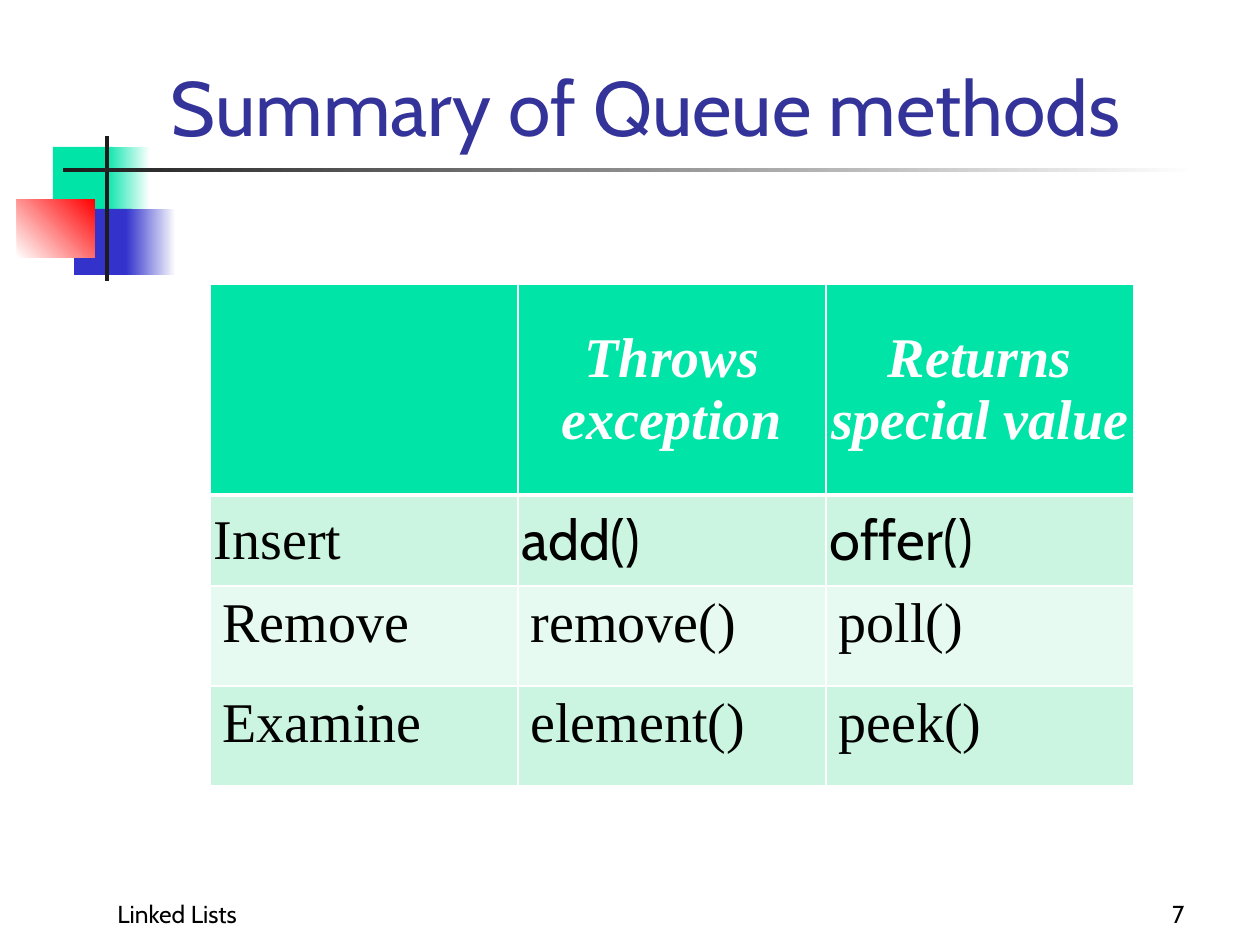
"""Build the slide that sums up the queue methods in a table."""
from lxml import etree
from pptx import Presentation
from pptx.dml.color import RGBColor
from pptx.enum.shapes import MSO_SHAPE
from pptx.enum.text import MSO_ANCHOR, MSO_AUTO_SIZE, PP_ALIGN
from pptx.oxml.ns import qn
from pptx.util import Emu, Pt

RECTANGLE = MSO_SHAPE.RECTANGLE
BOTTOM, MIDDLE, TOP = MSO_ANCHOR.BOTTOM, MSO_ANCHOR.MIDDLE, MSO_ANCHOR.TOP
LEFT, CENTER, RIGHT = PP_ALIGN.LEFT, PP_ALIGN.CENTER, PP_ALIGN.RIGHT
NO_AUTOFIT = MSO_AUTO_SIZE.NONE
EMU_PER_PX = 914400 / 126
SANS, SERIF = "Cabin", "Times New Roman"
COLORS = {
    "green": "00E4A8", "blue": "3333CC", "red": "FF0000", "dark": "1C1C1C",
    "white": "FFFFFF", "black": "000000", "title": "333399",
    "band": "CCF5E1", "light band": "E7FAF1",
}


def px(*lengths):
    return [Emu(round(length * EMU_PER_PX)) for length in lengths]


def write(frame, text, font_name, size, color, align):
    frame.text = text
    paragraph = frame.paragraphs[0]
    paragraph.alignment = align
    font = paragraph.font
    font.name, font.size = font_name, Pt(size)
    font.color.rgb = RGBColor.from_string(COLORS[color])
    return font


presentation = Presentation()
presentation.slide_width, presentation.slide_height = px(1260, 945)
slide = presentation.slides.add_slide(presentation.slide_layouts[5])

decorations = [
    ((53, 147, 60, 66), ["green"], 0),
    ((105, 147, 45, 66), ["green", "white"], 0),
    ((74, 209, 58, 66), ["blue"], 0),
    ((126, 209, 50, 66), ["blue", "white"], 0),
    ((17, 199, 78, 59), ["white", "red"], 45),
    ((105, 136, 4, 145), ["dark"], 0),
    ((63, 168, 1134, 4), ["dark", "white"], 0),
]
for box, colors, angle in decorations:
    shape = slide.shapes.add_shape(RECTANGLE, *px(*box))
    shape.shadow.inherit = False
    shape.line.fill.background()
    if len(colors) == 1:
        shape.fill.solid()
        shape.fill.fore_color.rgb = RGBColor.from_string(COLORS[colors[0]])
    else:
        shape.fill.gradient()
        shape.fill.gradient_angle = angle
        for stop, color in zip(shape.fill.gradient_stops, colors):
            stop.color.rgb = RGBColor.from_string(COLORS[color])

title = slide.shapes.title
title.left, title.top, title.width, title.height = px(158, 0, 1074, 158)
title.text_frame.auto_size = NO_AUTOFIT
title.text_frame.vertical_anchor = BOTTOM
write(title.text_frame, "Summary of Queue methods", SANS, 44, "title", LEFT)

footers = [
    ("Linked Lists", (105, 872, 546, 63), LEFT),
    ("7", (935, 872, 262, 63), RIGHT),
]
for text, box, align in footers:
    frame = slide.shapes.add_textbox(*px(*box)).text_frame
    frame.word_wrap = True
    frame.vertical_anchor = BOTTOM
    write(frame, text, SANS, 14, "black", align)

methods = [
    ["", "Throws exception", "Returns special value"],
    ["Insert", "add()", "offer()"],
    ["Remove", "remove()", "poll()"],
    ["Examine", "element()", "peek()"],
]
row_heights = px(211, 91, 100, 100)
row_fills = ["green", "band", "light band", "band"]
table = slide.shapes.add_table(4, 3, *px(210, 284, 924, 502)).table
for column in table.columns:
    column.width = px(308)[0]
for row_index, texts in enumerate(methods):
    table.rows[row_index].height = row_heights[row_index]
    is_header = row_index == 0
    for column_index, text in enumerate(texts):
        cell = table.cell(row_index, column_index)
        sans_cell = row_index == 1 and column_index > 0
        font = write(cell.text_frame, text, SANS if sans_cell else SERIF, 32,
                     "white" if is_header else "black",
                     CENTER if is_header else LEFT)
        font.bold = font.italic = is_header
        cell.vertical_anchor = MIDDLE if row_index < 2 else TOP
        if row_index < 2:
            cell.margin_left, cell.margin_right = px(4, 4)
            cell.margin_top, cell.margin_bottom = px(4, 4)
        properties = cell._tc.get_or_add_tcPr()
        for side in ("lnL", "lnR", "lnT", "lnB"):
            thick = (row_index, side) in [(0, "lnB"), (1, "lnT")]
            border = etree.SubElement(properties, qn(f"a:{side}"),
                                      w=str(Pt(3 if thick else 1)))
            border_fill = etree.SubElement(border, qn("a:solidFill"))
            etree.SubElement(border_fill, qn("a:srgbClr"), val=COLORS["white"])
        cell.fill.solid()
        cell.fill.fore_color.rgb = RGBColor.from_string(COLORS[row_fills[row_index]])

presentation.save("out.pptx")
